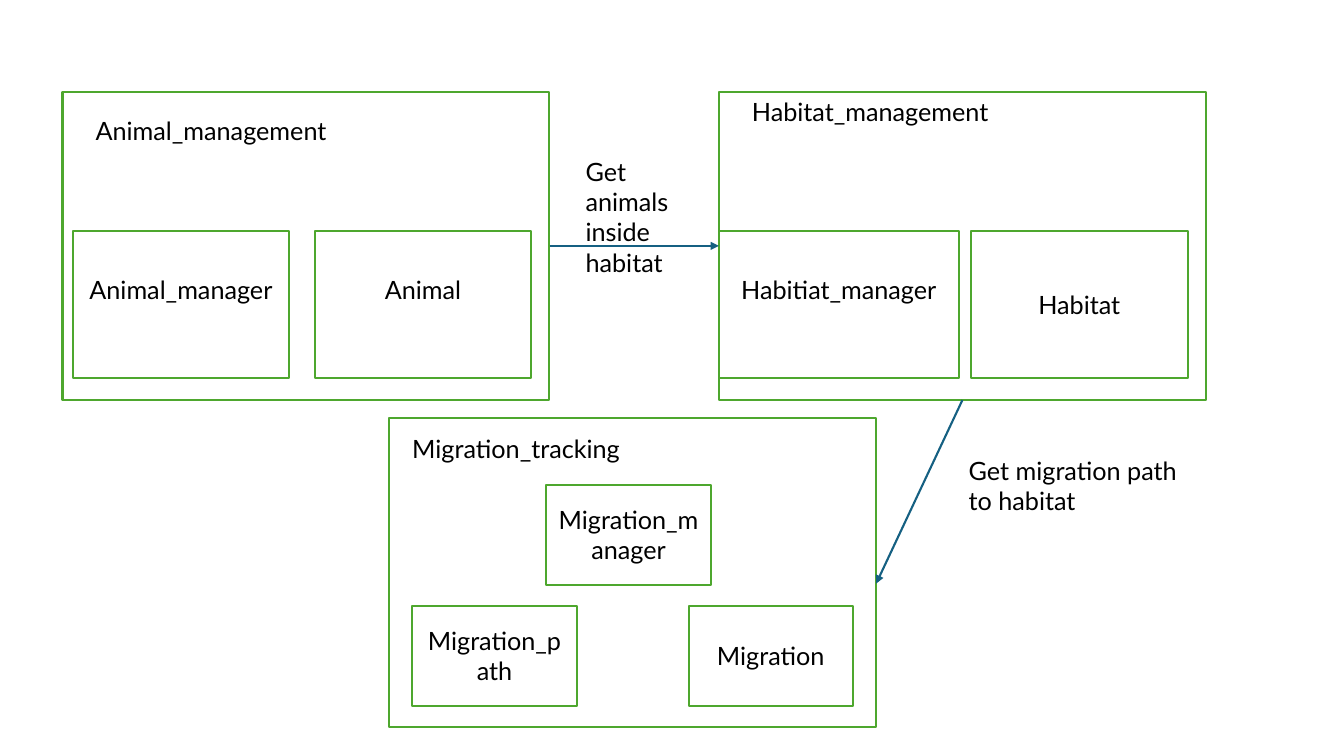
import pptx
import pptx.dml.color
import pptx.enum.shapes
import pptx.enum.text
import pptx.oxml
import pptx.oxml.ns
import pptx.util

RGBColor = pptx.dml.color.RGBColor
WHITE = RGBColor(0xFF, 0xFF, 0xFF)
BLACK = RGBColor(0, 0, 0)
GREEN = RGBColor(0x4E, 0xA7, 0x2E)
BLUE = RGBColor(0x15, 0x60, 0x82)

# Content: lengths in px, 100 px to the inch
PX = 9144
SLIDE_SIZE = (1333, 750)
MODULE_SIZE = (483, 306)
WIDE_CLASS = (215, 146)
SMALL_CLASS = (163, 99)
LINE_HEIGHT = 30

# Module: corner, then classes as (name, offset in the module, size, lift in lines)
MODULES = {
    "animal": ((62, 91), [
        ("Animal_manager", (10, 138), WIDE_CLASS, 1),
        ("Animal", (250, 138), WIDE_CLASS, 1),
    ]),
    "habitat": ((713, 91), [
        ("Habitiat_manager", (0, 138), (238, 146), 1),
        ("Habitat", (250, 138), WIDE_CLASS, 0),
    ]),
    "migration": ((386, 415), [
        ("Migration_path", (23, 186), SMALL_CLASS, 0),
        ("Migration", (297, 186), SMALL_CLASS, 0),
        ("Migration_manager", (156, 66), SMALL_CLASS, 0),
    ]),
}
LABELS = [
    ("Animal_management", (85, 109, 272, 40)),
    ("Habitat_management", (736, 91, 426, 71)),
    ("Migration_tracking", (399, 425, 338, 40)),
    ("Get animals inside habitat", (571, 150, 133, 131)),
    ("Get migration path to habitat", (951, 447, 227, 71)),
]
MIGRATION_ARROW_END = (869, 579)

FONT_FORMAT = {"name": "Lato", "size": pptx.util.Pt(18)}
CLASS_FRAME = {"word_wrap": True,
               "vertical_anchor": pptx.enum.text.MSO_ANCHOR.MIDDLE}
LABEL_FRAME = {"word_wrap": True,
               "auto_size": pptx.enum.text.MSO_AUTO_SIZE.SHAPE_TO_FIT_TEXT}


def emu(*lengths):
    return [pptx.util.Emu(length * PX) for length in lengths]


def apply_format(target, values):
    for name, value in values.items():
        setattr(target, name, value)


def write(frame, text, frame_format, alignment):
    apply_format(frame, frame_format)
    para = frame.paragraphs[0]
    para.alignment = alignment
    span = para.add_run()
    span.text = text
    apply_format(span.font, FONT_FORMAT)
    span.font.color.rgb = BLACK


def set_line(line, color):
    line.color.rgb = color
    line.width = pptx.util.Pt(1.5)


def add_box(page, corner, size):
    box = page.shapes.add_shape(
        pptx.enum.shapes.MSO_SHAPE.RECTANGLE, *emu(*corner, *size))
    box.shadow.inherit = False
    box.fill.solid()
    box.fill.fore_color.rgb = WHITE
    set_line(box.line, GREEN)
    return box


def add_arrow(page, start_box, start_site, end):
    arrow = page.shapes.add_connector(
        pptx.enum.shapes.MSO_CONNECTOR.STRAIGHT, 0, 0, *emu(*end))
    arrow.begin_connect(start_box, start_site)
    set_line(arrow.line, BLUE)
    properties = arrow.line._get_or_add_ln()
    head = pptx.oxml.parse_xml(
        f'<a:tailEnd {pptx.oxml.ns.nsdecls("a")} type="triangle"/>')
    properties.append(head)
    effects = pptx.oxml.parse_xml(
        f'<a:effectLst {pptx.oxml.ns.nsdecls("a")}/>')
    properties.addnext(effects)
    return arrow


def main():
    deck = pptx.Presentation()
    deck.slide_width, deck.slide_height = emu(*SLIDE_SIZE)
    page = deck.slides.add_slide(deck.slide_layouts[6])

    # Modules with their classes
    module_boxes = {}
    for key, (corner, classes) in MODULES.items():
        module_boxes[key] = add_box(page, corner, MODULE_SIZE)
        for name, offset, size, lift in classes:
            place = [base + step for base, step in zip(corner, offset)]
            frame = add_box(page, place, size).text_frame
            write(frame, name, CLASS_FRAME, pptx.enum.text.PP_ALIGN.CENTER)
            frame.margin_bottom += lift * LINE_HEIGHT * PX

    # Arrows between modules
    habitat_corner = MODULES["habitat"][0]
    animal_arrow = add_arrow(page, module_boxes["animal"], 3, habitat_corner)
    animal_arrow.end_connect(module_boxes["habitat"], 1)
    add_arrow(page, module_boxes["habitat"], 2, MIGRATION_ARROW_END)

    # Module names and arrow captions
    for text, bounds in LABELS:
        label = page.shapes.add_textbox(*emu(*bounds))
        write(label.text_frame, text, LABEL_FRAME,
              pptx.enum.text.PP_ALIGN.LEFT)

    deck.save("out.pptx")


if __name__ == "__main__":
    main()
